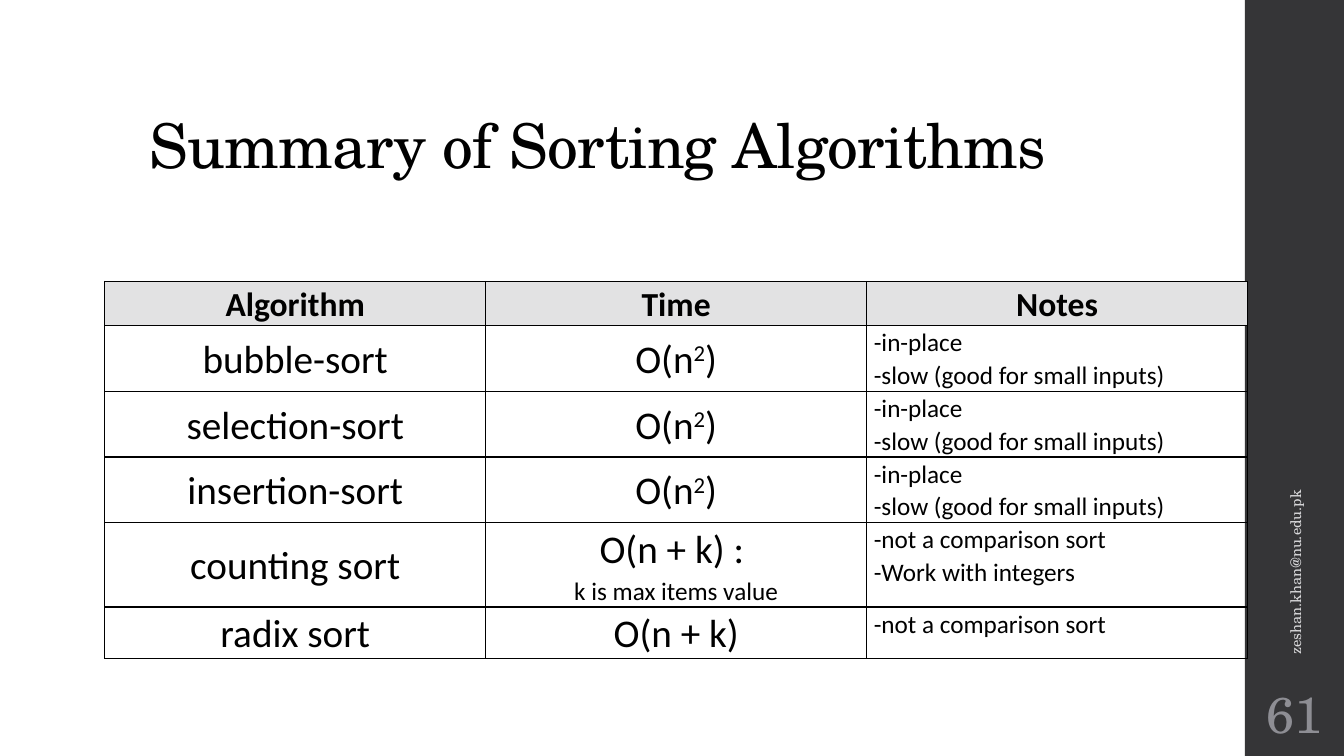
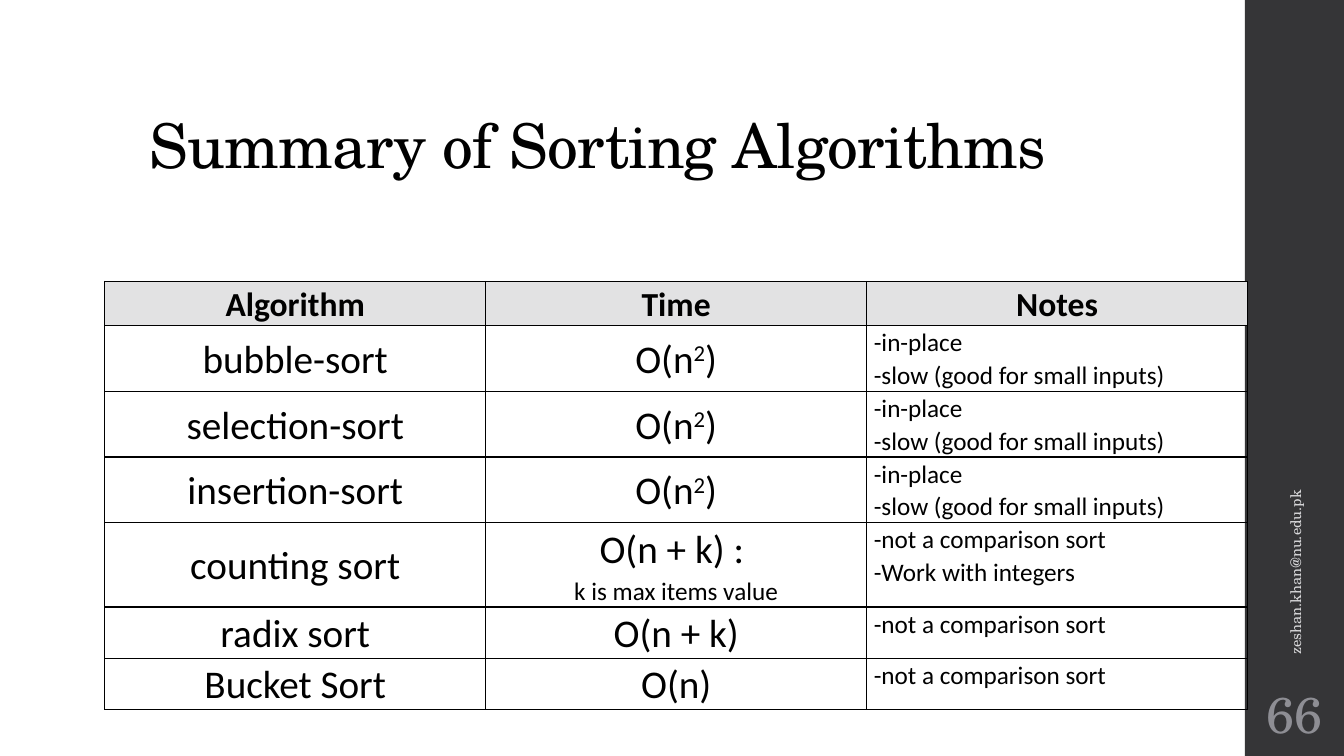
from dataclasses import dataclass

from lxml.etree import SubElement
from pptx import Presentation
from pptx.dml.color import RGBColor
from pptx.enum.shapes import MSO_SHAPE as Shape
from pptx.enum.text import MSO_ANCHOR as Anchor, MSO_AUTO_SIZE as AutoSize, PP_ALIGN as Align
from pptx.oxml.ns import qn
from pptx.util import Cm, Pt

# Theme
BLACK = RGBColor(0x00, 0x00, 0x00)
BAND = RGBColor(0x35, 0x35, 0x37)
HEADER_FILL = RGBColor(0xE2, 0xE2, 0xE3)
NUMBER_GREY = RGBColor(0x8E, 0x8E, 0x94)
CONTACT_GREY = RGBColor(0xD9, 0xD9, 0xDB)
SERIF, SANS = "TeX Gyre Schola", "Calibri"
SLIDE_W, SLIDE_H = Cm(33.87), Cm(19.05)
BAND_LEFT = Cm(31.37)
BAND_W = SLIDE_W - BAND_LEFT

# Table geometry and type
TABLE_LEFT, TABLE_TOP, COL_W = Cm(2.64), Cm(7.09), Cm(9.6)
HEADER_H = Cm(0.89)
HEADER_SIZE, MAIN_SIZE, NOTE_SIZE = 24, 28, 18


@dataclass(frozen=True)
class Line:
    text: str  # a "^" raises the character after it
    size: float = MAIN_SIZE
    bold: bool = False


@dataclass(frozen=True)
class Algorithm:
    name: str
    time: tuple[Line, ...]
    notes: tuple[str, ...]
    height: float  # cm


@dataclass(frozen=True)
class Summary:
    number: int
    algorithms: tuple[Algorithm, ...]


# Content
TITLE = "Summary of Sorting Algorithms"
CONTACT = "zeshan.khan@nu.edu.pk"
HEADERS = ("Algorithm", "Time", "Notes")
QUADRATIC = (Line("O(n^2)"),)
SLOW = ("-in-place", "-slow (good for small inputs)")
NOT_COMPARISON = "-not a comparison sort"
BASIC = (
    Algorithm("bubble-sort", QUADRATIC, SLOW, 1.35),
    Algorithm("selection-sort", QUADRATIC, SLOW, 1.35),
    Algorithm("insertion-sort", QUADRATIC, SLOW, 1.37),
    Algorithm("counting sort",
              (Line("O(n + k) : "), Line("k is max items value", NOTE_SIZE)),
              (NOT_COMPARISON, "-Work with integers"), 1.7),
    Algorithm("radix sort", (Line("O(n + k)"),), (NOT_COMPARISON,), 1.19),
)
BUCKET = Algorithm("Bucket Sort", (Line("O(n)"),), (NOT_COMPARISON,), 1.19)
SUMMARIES = (Summary(61, BASIC), Summary(66, BASIC + (BUCKET,)))


def style_run(r, size: float, font: str, color: RGBColor, bold: bool = False) -> None:
    r.font.size, r.font.name, r.font.bold = Pt(size), font, bold
    r.font.color.rgb = color


def add_band(layout, slide) -> None:
    """Draw the side band and move it to the layout, behind everything."""
    sp = slide.shapes.add_shape(Shape.RECTANGLE, BAND_LEFT, 0, BAND_W, SLIDE_H)
    sp.shadow.inherit = False
    sp.fill.solid()
    sp.fill.fore_color.rgb = BAND
    sp.line.fill.background()
    layout.shapes.element.insert(2, sp.element)


def set_title(slide) -> None:
    sp = slide.shapes.title
    sp.left, sp.top, sp.width, sp.height = Cm(3.51), Cm(1.02), Cm(26.92), Cm(3.68)
    tf = sp.text_frame
    tf.text = TITLE
    tf.auto_size = AutoSize.NONE
    tf.vertical_anchor = Anchor.BOTTOM
    p = tf.paragraphs[0]
    p.alignment, p.line_spacing = Align.LEFT, 0.9
    r = p.runs[0]
    style_run(r, 44, SERIF, BLACK)
    r.font._element.set("spc", "-50")


def add_label(slide, text: str, box: tuple, size: float, color: RGBColor, align: Align):
    sp = slide.shapes.add_textbox(*box)
    tf = sp.text_frame
    tf.word_wrap = True
    tf.vertical_anchor = Anchor.MIDDLE
    tf.text = text
    p = tf.paragraphs[0]
    p.alignment = align
    style_run(p.runs[0], size, SERIF, color)
    return sp


def set_borders(cell) -> None:
    tc_pr = cell._tc.get_or_add_tcPr()
    for side in ("lnL", "lnR", "lnT", "lnB"):
        ln = SubElement(tc_pr, qn(f"a:{side}"), w=str(Pt(1)))
        fill = SubElement(ln, qn("a:solidFill"))
        SubElement(fill, qn("a:srgbClr"), val=str(BLACK))


def fill_cell(cell, lines: tuple[Line, ...], align: Align, anchor: Anchor,
              fill: RGBColor | None = None) -> None:
    set_borders(cell)
    if fill is None:
        cell.fill.background()
    else:
        cell.fill.solid()
        cell.fill.fore_color.rgb = fill
    cell.margin_left = cell.margin_right = Cm(0.18)
    cell.margin_top = cell.margin_bottom = 0
    cell.vertical_anchor = anchor
    tf = cell.text_frame
    for i, line in enumerate(lines):
        p = tf.add_paragraph() if i else tf.paragraphs[0]
        p.alignment, p.line_spacing = align, 1.07
        base, _, raised = line.text.partition("^")
        p.text = base
        for part in filter(None, (raised[:1], raised[1:])):
            p.add_run().text = part
        for r in p.runs:
            style_run(r, line.size, SANS, BLACK, line.bold)
        if raised:
            p.runs[1].font._element.set("baseline", "30000")


def add_summary_table(slide, algorithms: tuple[Algorithm, ...]) -> None:
    heights = [HEADER_H] + [Cm(a.height) for a in algorithms]
    table = slide.shapes.add_table(len(heights), len(HEADERS), TABLE_LEFT, TABLE_TOP,
                                   COL_W * len(HEADERS), sum(heights)).table
    table.first_row = table.horz_banding = False
    for col in table.columns:
        col.width = COL_W
    for row, height in zip(table.rows, heights):
        row.height = height
    for j, text in enumerate(HEADERS):
        fill_cell(table.cell(0, j), (Line(text, HEADER_SIZE, True),),
                  Align.CENTER, Anchor.TOP, HEADER_FILL)
    for i, a in enumerate(algorithms, 1):
        notes = tuple(Line(n, NOTE_SIZE) for n in a.notes)
        fill_cell(table.cell(i, 0), (Line(a.name),), Align.CENTER, Anchor.MIDDLE)
        fill_cell(table.cell(i, 1), a.time, Align.CENTER, Anchor.MIDDLE)
        fill_cell(table.cell(i, 2), notes, Align.LEFT, Anchor.TOP)


def add_footer(slide, number: int) -> None:
    sp = add_label(slide, str(number), (BAND_LEFT, Cm(17.15), BAND_W, Cm(1.65)),
                   36, NUMBER_GREY, Align.CENTER)
    tf = sp.text_frame
    tf.margin_left = tf.margin_right = tf.margin_top = tf.margin_bottom = Cm(0.13)
    sp = add_label(slide, CONTACT, (Cm(27.66), Cm(11.25), Cm(9.96), Cm(1.02)),
                   10.5, CONTACT_GREY, Align.LEFT)
    sp.rotation = 270


def main() -> None:
    prs = Presentation()
    prs.slide_width, prs.slide_height = SLIDE_W, SLIDE_H
    layout = prs.slide_layouts.get_by_name("Title Only")
    for i, summary in enumerate(SUMMARIES):
        slide = prs.slides.add_slide(layout)
        if i == 0:
            add_band(layout, slide)
        set_title(slide)
        add_summary_table(slide, summary.algorithms)
        add_footer(slide, summary.number)
    prs.save("out.pptx")


if __name__ == "__main__":
    main()
